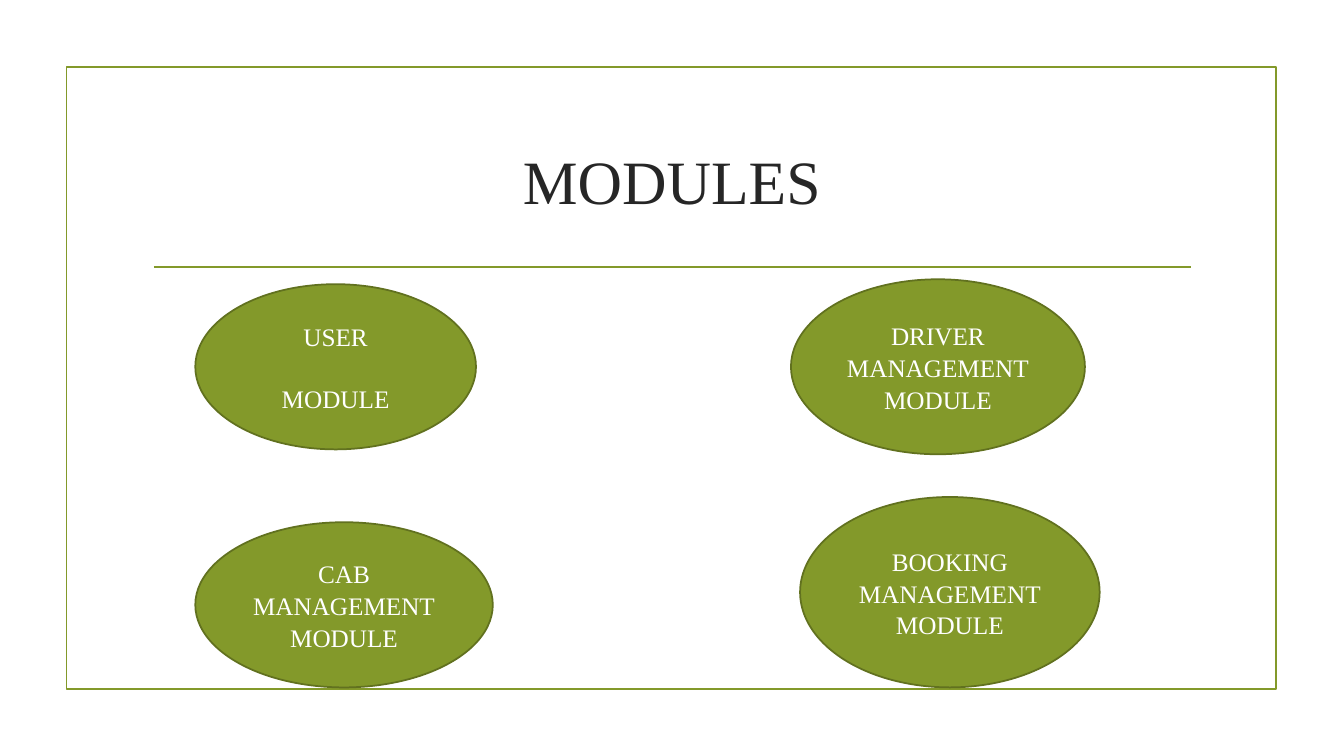
import pptx
import pptx.dml.color
import pptx.enum.shapes
import pptx.enum.text
import pptx.oxml.ns
import pptx.util
from lxml import etree

Pt = pptx.util.Pt
Shapes = pptx.enum.shapes.MSO_SHAPE


def color(hex_value):
    return pptx.dml.color.RGBColor.from_string(hex_value)


def write(frame, lines, size, ink, spacing=1.0, gap=0):
    frame.word_wrap = True
    frame.vertical_anchor = pptx.enum.text.MSO_ANCHOR.MIDDLE
    for index, line in enumerate(lines):
        paragraph = frame.add_paragraph() if index else frame.paragraphs[0]
        paragraph.text = line
        paragraph.alignment = pptx.enum.text.PP_ALIGN.CENTER
        paragraph.line_spacing = spacing
        paragraph.space_before = Pt(gap if index else 0)
        paragraph.font.name = "Times New Roman"
        paragraph.font.size = Pt(size)
        paragraph.font.color.rgb = color(ink)


deck = pptx.Presentation()
deck.slide_width, deck.slide_height = Pt(960), Pt(540)
slide = deck.slides.add_slide(deck.slide_layouts[6])

border = slide.shapes.add_shape(Shapes.RECTANGLE, Pt(47.5), Pt(48), Pt(864), Pt(444))
border.shadow.inherit = False
border.fill.background()
border.line.color.rgb = color("83992A")
border.line.width = Pt(1.25)

divider = slide.shapes.add_connector(
    pptx.enum.shapes.MSO_CONNECTOR.STRAIGHT, Pt(110), Pt(190.8), Pt(850.5), Pt(190.8))
divider.line.color.rgb = color("83992A")
divider.line.width = Pt(1.25)
etree.SubElement(divider.element.spPr, pptx.oxml.ns.qn("a:effectLst"))

title = slide.shapes.add_textbox(Pt(102), Pt(77), Pt(756), Pt(103))
write(title.text_frame, ["MODULES"], size=44, ink="262626")

modules = [
    (139.5, 203, 200.5, 118, ["USER", "MODULE"], 21.7),
    (565, 199.5, 210, 125, ["DRIVER", "MANAGEMENT", "MODULE"], 0),
    (139.5, 373, 212.5, 118, ["CAB", "MANAGEMENT\vMODULE"], 0),
    (571.5, 355, 214, 136, ["BOOKING", "MANAGEMENT", "MODULE"], 0),
]
for left, top, width, height, label, gap in modules:
    module = slide.shapes.add_shape(Shapes.OVAL, Pt(left), Pt(top), Pt(width), Pt(height))
    module.shadow.inherit = False
    module.fill.solid()
    module.fill.fore_color.rgb = color("83992A")
    module.line.color.rgb = color("61711F")
    module.line.width = Pt(1.25)
    write(module.text_frame, label, size=18, ink="FFFFFF", spacing=1.05, gap=gap)

deck.save("out.pptx")
